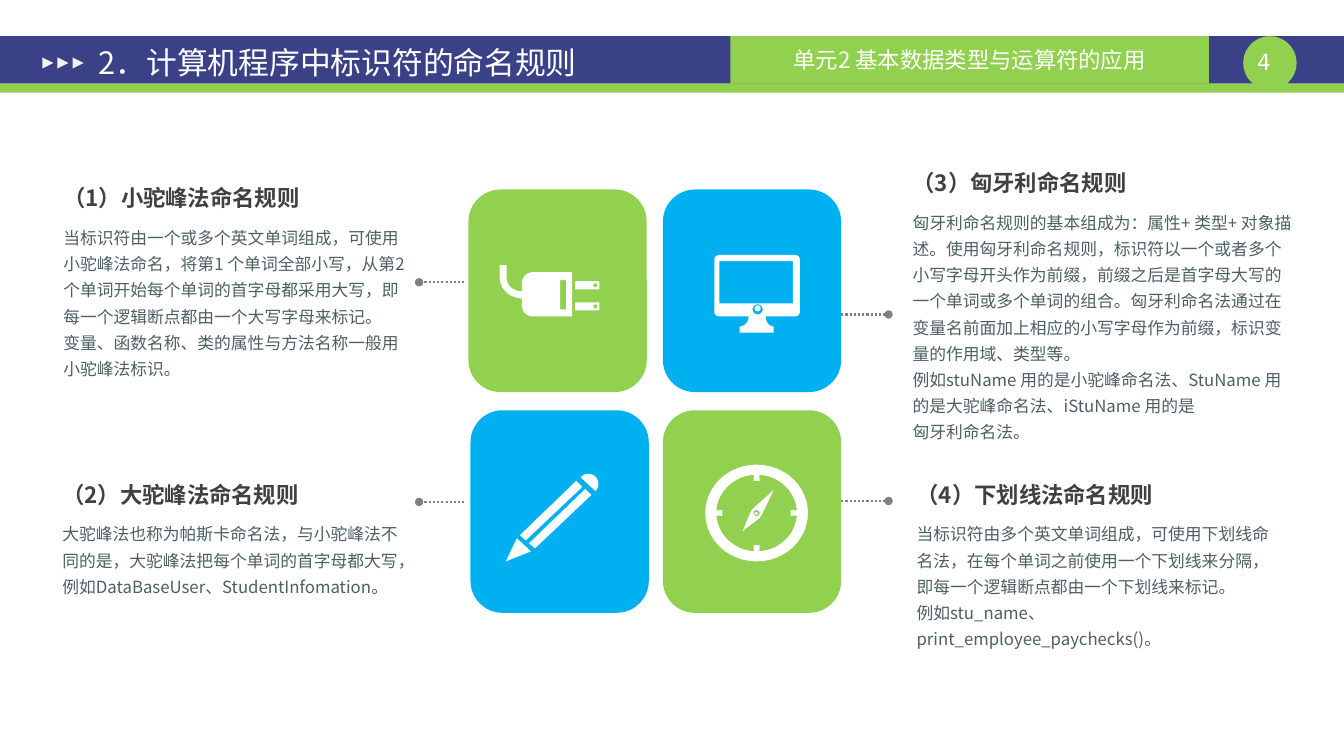
"""Build a slide on four naming rules for program identifiers."""
import math

import pptx
import pptx.dml.color
import pptx.enum.dml
import pptx.enum.shapes
import pptx.enum.text
import pptx.oxml.ns
import pptx.util
from lxml import etree

Inches = pptx.util.Inches
SHAPE = pptx.enum.shapes.MSO_SHAPE
ALIGN = pptx.enum.text.PP_ALIGN
ANCHOR = pptx.enum.text.MSO_ANCHOR
FIT = pptx.enum.text.MSO_AUTO_SIZE
COLORS = {
    "navy": "3A4187", "green": "92D050", "blue": "00B0F0", "white": "FFFFFF",
    "arrow": "F2F2F2", "dots": "808080", "heading": "404040", "body": "4C6062",
}
SANS, MONO = "Noto Sans CJK SC", "DejaVu Sans Mono"
FORMATS = {
    "title": ({"size": 22, "bold": False}, "white", SANS),
    "unit": ({"size": 16}, "white", SANS),
    "number": ({"size": 16}, "white", MONO),
    "heading": ({"size": 16, "bold": True}, "heading", SANS),
    "body": ({"size": 12}, "body", SANS),
}
RULES = [
    ("（1）小驼峰法命名规则", (0.53, 1.78, 3.6), 1.68, [
        "当标识符由一个或多个英文单词组成，可使用小驼峰法命名，将第1 个单词全部小写，从第2 个单词开始每个单词的首字母都采用大写，即每一个逻辑断点都由一个大写字母来标记。",
        "变量、函数名称、类的属性与方法名称一般用小驼峰法标识。"]),
    ("（2）大驼峰法命名规则", (0.52, 4.72, 3.59), 0.89, [
        "大驼峰法也称为帕斯卡命名法，与小驼峰法不同的是，大驼峰法把每个单词的首字母都大写，例如DataBaseUser、StudentInfomation。"]),
    ("（3）匈牙利命名规则", (8.96, 1.63, 3.96), 2.44, [
        "匈牙利命名规则的基本组成为：属性+ 类型+ 对象描述。使用匈牙利命名规则，标识符以一个或者多个小写字母开头作为前缀，前缀之后是首字母大写的一个单词或多个单词的组合。匈牙利命名法通过在变量名前面加上相应的小写字母作为前缀，标识变量的作用域、类型等。",
        "例如stuName 用的是小驼峰命名法、StuName 用的是大驼峰命名法、iStuName 用的是",
        "匈牙利命名法。"]),
    ("（4）下划线法命名规则", (9, 4.72, 3.84), 1.15, [
        "当标识符由多个英文单词组成，可使用下划线命名法，在每个单词之前使用一个下划线来分隔，即每一个逻辑断点都由一个下划线来标记。",
        "例如stu_name、print_employee_paychecks()。"]),
]
TILES = [(4.65, 1.88, "green"), (6.58, 1.88, "blue"),
         (4.67, 4.07, "blue"), (6.58, 4.07, "green")]
LEADERS = [(4.61, 4.16, 2.8), (4.61, 4.16, 4.98),
           (8.35, 8.82, 3.12), (8.35, 8.82, 4.97)]


def rgb(name):
    """Return the named colour."""
    return pptx.dml.color.RGBColor.from_string(COLORS[name])


def paint(shape, color):
    """Give a shape a flat fill without line or shadow."""
    shape.shadow.inherit = False
    shape.fill.solid()
    shape.fill.fore_color.rgb = rgb(color)
    shape.line.fill.background()


def add_block(shapes, kind, box, color):
    """Add a flat preset shape."""
    block = shapes.add_shape(kind, *map(Inches, box))
    paint(block, color)
    return block


def write(frame, paragraphs, style, spacing=None, align=ALIGN.LEFT, **settings):
    """Fill a text frame with styled paragraphs."""
    for name, value in {"word_wrap": True, **settings}.items():
        setattr(frame, name, value)
    values, color, face = FORMATS[style]
    for index, text in enumerate(paragraphs):
        paragraph = frame.add_paragraph() if index else frame.paragraphs[0]
        paragraph.alignment = align
        if spacing:
            paragraph.line_spacing = spacing
        run = paragraph.add_run()
        run.text = text
        for name, value in {**values, "name": face}.items():
            setattr(run.font, name, pptx.util.Pt(value) if name == "size" else value)
        run.font.color.rgb = rgb(color)
        east_asian = etree.SubElement(run.font._element, pptx.oxml.ns.qn("a:ea"))
        east_asian.set("typeface", face)


def add_text(shapes, box, paragraphs, style, **settings):
    """Add a text box."""
    frame = shapes.add_textbox(*map(Inches, box)).text_frame
    write(frame, paragraphs, style, auto_size=FIT.SHAPE_TO_FIT_TEXT, **settings)


def arc(cx, cy, rx, ry, start, end, steps=16):
    """Return points along an elliptical arc, angles in degrees."""
    angles = [math.radians(start + (end - start) * i / steps) for i in range(steps + 1)]
    return [(cx + rx * math.cos(a), cy + ry * math.sin(a)) for a in angles]


def ellipse(cx, cy, rx, ry):
    """Return points around an ellipse."""
    return arc(cx, cy, rx, ry, 0, 360, 48)


def rectangle(left, top, right, bottom):
    """Return the corners of a rectangle."""
    return [(left, top), (right, top), (right, bottom), (left, bottom)]


def add_outline(shapes, *contours):
    """Add a white freeform whose inner contours are holes."""
    builder = None
    for contour in contours:
        points = [(Inches(x), Inches(y)) for x, y in contour]
        if builder is None:
            builder = shapes.build_freeform(*points[0], scale=1.0)
        else:
            builder.move_to(*points[0])
        builder.add_line_segments(points[1:], close=True)
    paint(builder.convert_to_shape(), "white")


def add_plug(shapes):
    """Draw the plug icon."""
    body = (arc(5.29, 2.81, 0.11, 0.11, 180, 270) + [(5.68, 2.7), (5.68, 3.14)]
            + arc(5.29, 3.03, 0.11, 0.11, 90, 180)
            + arc(5.18, 2.75, 0.22, 0.21, 90, 180) + [(4.96, 2.63), (5.03, 2.63)]
            + arc(5.18, 2.76, 0.15, 0.13, 180, 90))
    add_outline(shapes, body, rectangle(5.56, 2.78, 5.62, 3.07))
    for top in (2.79, 3):
        add_outline(shapes, rectangle(5.71, top, 5.95, top + 0.08),
                    ellipse(5.91, top + 0.04, 0.02, 0.02))


def add_monitor(shapes):
    """Draw the monitor icon."""
    case = (arc(7.14, 2.58, 0.05, 0.05, 180, 270) + arc(7.89, 2.58, 0.05, 0.05, 270, 360)
            + arc(7.89, 3.09, 0.05, 0.05, 0, 90) + arc(7.68, 3.14, 0.08, 0.1, 180, 90)
            + [(7.68, 3.3), (7.34, 3.3)] + arc(7.34, 3.14, 0.09, 0.1, 90, 0)
            + arc(7.14, 3.09, 0.05, 0.05, 90, 180))
    add_outline(shapes, case, rectangle(7.14, 2.59, 7.87, 3.01),
                ellipse(7.52, 3.07, 0.05, 0.05))
    add_block(shapes, SHAPE.OVAL, (7.49, 3.03, 0.06, 0.06), "white")


def add_pencil(shapes):
    """Draw the pencil icon."""
    add_outline(shapes, [(5.13, 5.34), (5.02, 5.57), (5.27, 5.47)])
    for x, y in ((5.16, 5.31), (5.25, 5.39)):
        add_outline(shapes, [(x + 0.56, y - 0.54), (x, y),
                             (x + 0.06, y + 0.05), (x + 0.62, y - 0.48)])
    add_outline(shapes, arc(5.84, 4.8, 0.1, 0.1, 220, 405))


def add_compass(shapes):
    """Draw the compass icon."""
    center = (7.51, 5.09)
    dial = []
    for angle in range(0, 360, 90):
        dial += arc(*center, 0.34, 0.32, angle - 5, angle + 5, 1)
        dial += arc(*center, 0.4, 0.38, angle + 4, angle + 86)
    add_outline(shapes, ellipse(*center, 0.51, 0.48), dial)
    needle = [(7.45, 5.08), (7.37, 5.27), (7.54, 5.14), (7.56, 5.11),
              (7.68, 4.86), (7.47, 5.05)]
    add_outline(shapes, needle, ellipse(*center, 0.03, 0.03))
    add_block(shapes, SHAPE.OVAL, (7.49, 5.08, 0.03, 0.03), "white")


def add_leader(shapes, start, end, y):
    """Add a dotted line that ends in a dot."""
    leader = shapes.add_connector(pptx.enum.shapes.MSO_CONNECTOR.STRAIGHT,
                                  *map(Inches, (start, y, end, y)))
    leader.line.color.rgb = rgb("dots")
    leader.line.width = pptx.util.Pt(1.5)
    leader.line.dash_style = pptx.enum.dml.MSO_LINE.ROUND_DOT
    properties = leader.element.spPr
    dot = etree.SubElement(properties.find(pptx.oxml.ns.qn("a:ln")),
                           pptx.oxml.ns.qn("a:tailEnd"))
    dot.set("type", "oval")
    etree.SubElement(properties, pptx.oxml.ns.qn("a:effectLst"))


def add_header(slide):
    """Add the header band and the title."""
    shapes = slide.shapes
    add_block(shapes, SHAPE.RECTANGLE, (0, 0.36, 13.34, 0.47), "navy")
    add_block(shapes, SHAPE.RECTANGLE, (0, 0.83, 13.34, 0.09), "green")
    add_block(shapes, SHAPE.OVAL, (12.34, 0.36, 0.53, 0.53), "green")
    no_margins = dict.fromkeys(
        ("margin_left", "margin_top", "margin_right", "margin_bottom"), 0)
    add_text(shapes, (12.28, 0.48, 0.53, 0.27), ["4"], "number",
             align=ALIGN.CENTER, **no_margins)
    unit = add_block(shapes, SHAPE.RECTANGLE, (7.25, 0.36, 4.75, 0.47), "green")
    write(unit.text_frame, ["单元2 基本数据类型与运算符的应用"], "unit",
          align=ALIGN.CENTER, vertical_anchor=ANCHOR.MIDDLE)
    for index in range(3):
        arrow = add_block(shapes, SHAPE.ISOSCELES_TRIANGLE,
                          (0.42 + 0.15 * index, 0.57, 0.11, 0.11), "arrow")
        arrow.rotation = 90
    title = shapes.title
    shapes.element.append(title.element)
    place = {"left": 0.85, "top": 0.4, "width": 7.2, "height": 0.44}
    for name, value in place.items():
        setattr(title, name, Inches(value))
    write(title.text_frame, ["2．计算机程序中标识符的命名规则"], "title",
          vertical_anchor=ANCHOR.MIDDLE, auto_size=FIT.NONE,
          margin_left=Inches(0.13), margin_right=Inches(0.13))


def main():
    """Build and save the slide."""
    deck = pptx.Presentation()
    deck.slide_width, deck.slide_height = Inches(13.34), Inches(7.5)
    slide = deck.slides.add_slide(deck.slide_layouts[5])
    shapes = slide.shapes
    add_header(slide)
    for leader in LEADERS:
        add_leader(shapes, *leader)
    for left, top, color in TILES:
        tile = add_block(shapes, SHAPE.ROUNDED_RECTANGLE, (left, top, 1.77, 2.01), color)
        tile.adjustments[0] = 0.18
    for add_icon in (add_plug, add_monitor, add_pencil, add_compass):
        add_icon(shapes.add_group_shape().shapes)
    for heading, (left, top, width), height, body in RULES:
        add_text(shapes, (left, top, width, 0.37), [heading], "heading")
        add_text(shapes, (left, top + 0.37, width, height), body, "body", spacing=1.3)
    deck.save("out.pptx")


if __name__ == "__main__":
    main()
